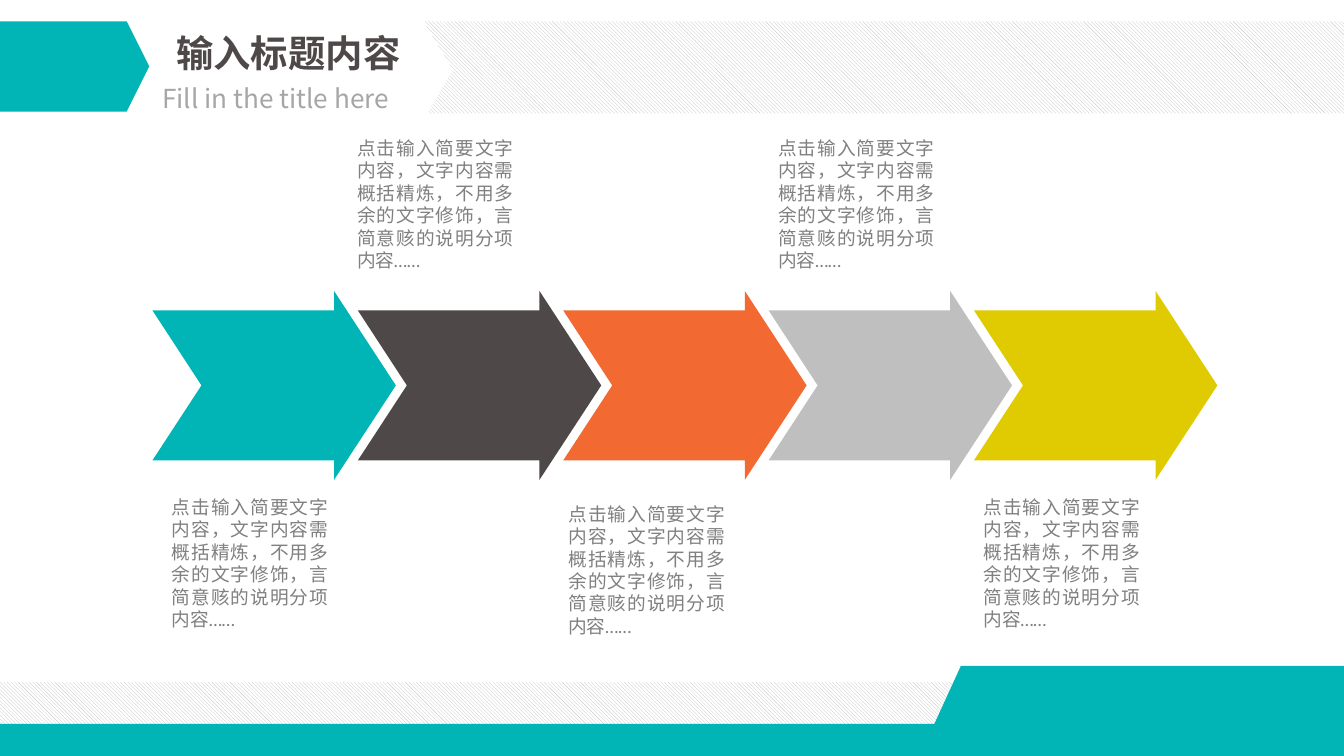
from lxml import etree
from pptx import Presentation
from pptx.dml import color
from pptx.enum import dml, shapes, text
from pptx.oxml import ns
from pptx.util import Pt

TEAL, DARK, ORANGE, SILVER, YELLOW = "01B5B6", "4E4848", "F26932", "BFBFBF", "E0CB02"
CJK = "Noto Sans CJK SC"
CAPTION = "点击输入简要文字内容，文字内容需概括精炼，不用多余的文字修饰，言简意赅的说明分项内容……"
CAPTION_SPOTS = [(85, 262.1), (184.2, 69.8), (297.4, 265.7), (409.8, 69.8), (519.8, 262.1)]


def rgb(code):
    """Turn a hex string into a colour."""
    return color.RGBColor.from_string(code)


def paint(shape, code):
    """Give a shape a solid fill without line or shadow."""
    shape.shadow.inherit = False
    shape.line.fill.background()
    shape.fill.solid()
    shape.fill.fore_color.rgb = rgb(code)


def hatch(shape):
    """Give a shape a light diagonal hatch without line or shadow."""
    shape.shadow.inherit = False
    shape.line.fill.background()
    shape.fill.patterned()
    shape.fill.pattern = dml.MSO_PATTERN.LIGHT_DOWNWARD_DIAGONAL
    shape.fill.fore_color.rgb = rgb(SILVER)
    shape.fill.back_color.rgb = rgb("FFFFFF")


def add_preset(page, kind, box, adjustments=()):
    """Add a preset shape in a box given in points."""
    shape = page.shapes.add_shape(kind, *map(Pt, box))
    for index, value in enumerate(adjustments):
        shape.adjustments[index] = value
    return shape


def add_outline(page, points):
    """Add a closed polygon through points."""
    corners = [(Pt(x), Pt(y)) for x, y in points]
    builder = page.shapes.build_freeform(*corners[0])
    builder.add_line_segments(corners[1:], close=True)
    return builder.convert_to_shape()


def write(shape, words, size, font, code, bold=False, align=text.PP_ALIGN.LEFT,
          anchor=text.MSO_ANCHOR.MIDDLE, wrap=True):
    """Write one formatted run into a shape."""
    frame = shape.text_frame
    frame.word_wrap = wrap
    frame.auto_size = text.MSO_AUTO_SIZE.NONE
    frame.vertical_anchor = anchor
    para = frame.paragraphs[0]
    para.alignment = align
    span = para.add_run()
    span.text = words
    span.font.size = Pt(size)
    span.font.bold = bold
    span.font.name = font
    span.font.color.rgb = rgb(code)
    etree.SubElement(span.font._element, ns.qn("a:ea"), typeface=font)


def add_header(page, left, top, width, height):
    """Place the tab, title, subtitle and hatched band in the header box."""
    right, bottom = left + width, top + height
    hatch(add_outline(page, [
        (left + 226.8, top), (right, top), (right, bottom),
        (left + 229, bottom), (left + 242.6, top + 26)]))
    tab = add_preset(page, shapes.MSO_SHAPE.PENTAGON, (left, top, 80, 48.4), [0.25])
    paint(tab, TEAL)
    title = page.shapes.title
    title.left, title.top = Pt(left + 87.2), Pt(top + 0.8)
    title.width, title.height = Pt(139.6), Pt(31.5)
    write(title, "输入标题内容", 20, CJK, DARK, bold=True)
    subtitle = page.shapes.add_textbox(Pt(left + 79.8), Pt(top + 28.8), Pt(141), Pt(24.2))
    write(subtitle, "Fill in the title here", 14, CJK, "A6A6A6", wrap=False)


def add_footer(page, left, top, width, height):
    """Place the hatched strip and the stepped band in the footer box."""
    right, bottom = left + width, top + height
    hatch(add_preset(page, shapes.MSO_SHAPE.RECTANGLE, (left, top + 8.6, width, 36.7)))
    paint(add_outline(page, [
        (right, bottom), (left, bottom), (left, top + 31), (left + 500.6, top + 31),
        (left + 514.8, top), (right, top)]), TEAL)


def add_arrows(page, left, top, width, height):
    """Spread the five coloured arrows evenly over the box."""
    colours = [TEAL, DARK, ORANGE, SILVER, YELLOW]
    arrow_width = 130.4
    step = (width - arrow_width) / (len(colours) - 1)
    for index, code in enumerate(colours):
        box = (left + index * step, top, arrow_width, height)
        paint(add_preset(page, shapes.MSO_SHAPE.NOTCHED_RIGHT_ARROW, box, [0.794, 0.327]), code)


def add_caption(page, left, top, width, height):
    """Place one justified caption in the box."""
    caption = page.shapes.add_textbox(Pt(left), Pt(top), Pt(width), Pt(height))
    write(caption, CAPTION, 10, "Calibri", "808080",
          align=text.PP_ALIGN.JUSTIFY, anchor=text.MSO_ANCHOR.TOP)


def main():
    """Build and save the deck."""
    deck = Presentation()
    deck.slide_width, deck.slide_height = Pt(720), Pt(405)
    page = deck.slides.add_slide(deck.slide_layouts[5])
    add_header(page, 0, 11.4, 720, 49.3)
    add_footer(page, 0, 356.8, 720, 57.6)
    add_arrows(page, 81.7, 155.9, 570.5, 101.2)
    for left, top in CAPTION_SPOTS:
        add_caption(page, left, top, 97.9, 79.9)
    deck.save("out.pptx")


if __name__ == "__main__":
    main()
